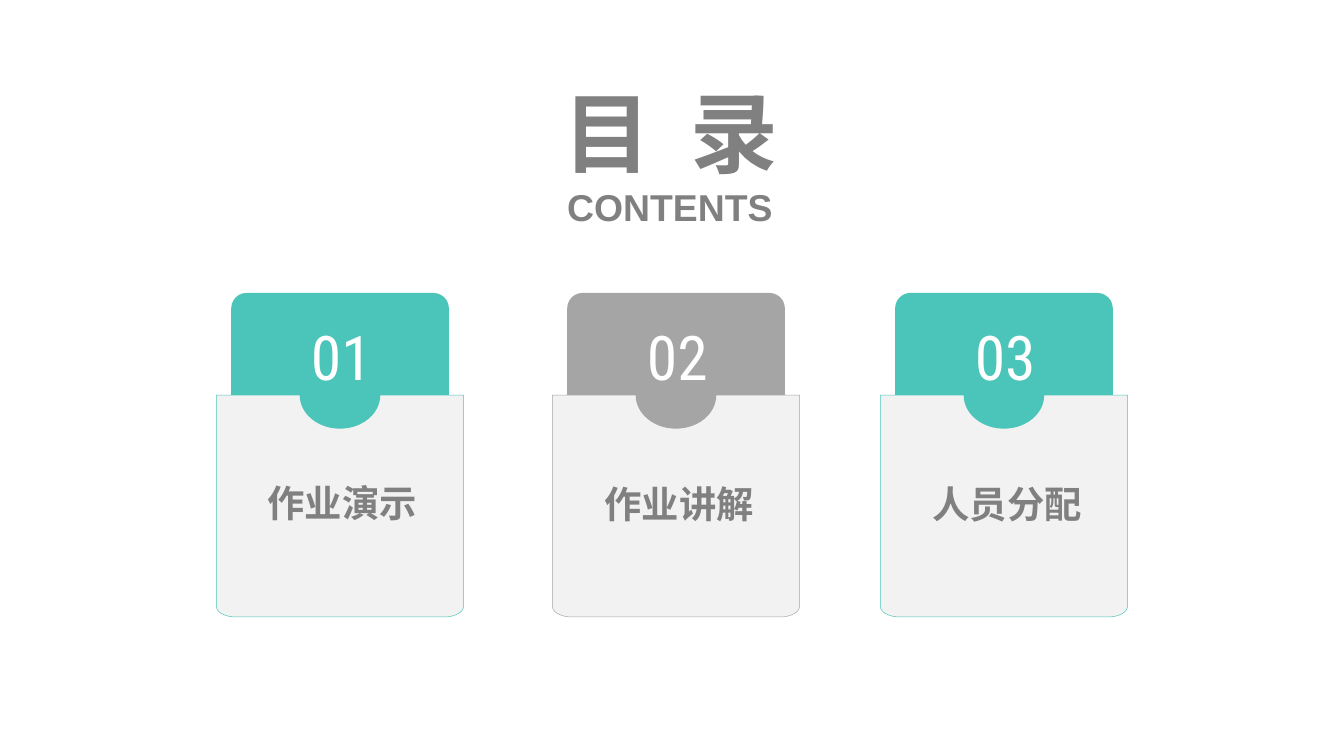
from math import cos, pi, sin

from pptx import Presentation
from pptx.dml.color import RGBColor
from pptx.enum.shapes import MSO_SHAPE as Preset
from pptx.enum.text import MSO_ANCHOR as Anchor, MSO_AUTO_SIZE as AutoSize, PP_ALIGN as Align
from pptx.oxml.ns import qn
from pptx.util import Inches, Pt

TEAL = RGBColor(0x4B, 0xC5, 0xB9)
SILVER = RGBColor(0xA5, 0xA5, 0xA5)
PANEL = RGBColor(0xF2, 0xF2, 0xF2)
GRAY = RGBColor(0x80, 0x80, 0x80)
WHITE = RGBColor(0xFF, 0xFF, 0xFF)
CJK_FONT = "Noto Sans CJK SC"

HEADING = {"name": "Arial", "size": Pt(47), "bold": True}
SUBHEADING = {"name": "Arial", "size": Pt(20), "bold": True}
NUMBER = {"name": "Roboto Condensed", "size": Pt(33), "bold": False}
LABEL = {"name": CJK_FONT, "size": Pt(20), "bold": True}

CARD_TOP = 2.18
POCKET_TOP, POCKET_WIDTH, POCKET_HEIGHT = 2.94, 1.84, 1.65
CORNER_X, CORNER_Y = 0.14, 0.08
CARDS = [
    (1.61, TEAL, "01", "作业演示", 0.26, 3.53),
    (4.11, SILVER, "02", "作业讲解", 0.27, 3.54),
    (6.55, TEAL, "03", "人员分配", 0.27, 3.54),
]


def place(shape, left, top, width, height):
    box = {"left": left, "top": top, "width": width, "height": height}
    for side, length in box.items():
        setattr(shape, side, Inches(length))


def write(shape, pieces, style, color, margins, anchor=Anchor.TOP):
    frame = shape.text_frame
    layout = {
        "margin_left": Inches(margins[0]), "margin_right": Inches(margins[0]),
        "margin_top": Inches(margins[1]), "margin_bottom": Inches(margins[1]),
        "word_wrap": True, "auto_size": AutoSize.SHAPE_TO_FIT_TEXT,
        "vertical_anchor": anchor,
    }
    for key, value in layout.items():
        setattr(frame, key, value)
    paragraph = frame.paragraphs[0]
    paragraph.alignment = Align.CENTER
    paragraph.space_before = Pt(0)
    for text, tracking in pieces:
        run = paragraph.add_run()
        run.text = text
        for key, value in style.items():
            setattr(run.font, key, value)
        run.font.color.rgb = color
        properties = run.font._element
        east_asian = properties.makeelement(qn("a:ea"), {"typeface": CJK_FONT})
        properties.find(qn("a:latin")).addnext(east_asian)
        if tracking:
            properties.set("spc", str(tracking))


def add_text(shapes, box, text, style, color):
    caption = shapes.add_textbox(*map(Inches, box))
    write(caption, [(text, 0)], style, color, (0.07, 0.04))


def paint(shape, fill, outline=None):
    shape.shadow.inherit = False
    shape.fill.solid()
    shape.fill.fore_color.rgb = fill
    if outline is None:
        shape.line.fill.background()
    else:
        shape.line.color.rgb = outline
        shape.line.width = Pt(0.25)


def add_preset(shapes, preset, box, color):
    shape = shapes.add_shape(preset, *map(Inches, box))
    paint(shape, color)
    return shape


def add_pocket(shapes, left, outline):
    right, bottom = left + POCKET_WIDTH, POCKET_TOP + POCKET_HEIGHT
    angles = [step * pi / 16 for step in range(9)]
    right_corner = [(right - CORNER_X * (1 - cos(a)), bottom - CORNER_Y * (1 - sin(a)))
                    for a in angles]
    left_corner = [(left + right - x, y) for x, y in reversed(right_corner)]
    points = [(Inches(x), Inches(y))
              for x, y in [(right, POCKET_TOP)] + right_corner + left_corner]
    builder = shapes.build_freeform(Inches(left), Inches(POCKET_TOP))
    builder.add_line_segments(points, close=True)
    paint(builder.convert_to_shape(), PANEL, outline)


def add_card(slide, left, color, number, label, label_offset, label_top):
    shapes = slide.shapes.add_group_shape().shapes
    insert = add_preset(shapes, Preset.ROUNDED_RECTANGLE, (left + 0.11, CARD_TOP, 1.62, 1.24), color)
    insert.adjustments[0] = 0.093
    add_pocket(shapes, left, color)
    add_preset(shapes, Preset.OVAL, (left + 0.62, 2.69, 0.6, 0.5), color)
    add_text(shapes, (left + 0.48, 2.33, 0.9, 0.53), number, NUMBER, WHITE)
    add_text(shapes, (left + label_offset, label_top, 1.35, 0.41), label, LABEL, GRAY)


def add_headings(slide):
    title, subtitle = slide.shapes.title, slide.placeholders[1]
    place(title, 3.87, 0.58, 2.24, 0.79)
    write(title, [("目 ", 520), ("录", 0)], HEADING, GRAY, (0, 0), Anchor.MIDDLE)
    place(subtitle, 3.88, 1.37, 2.21, 0.34)
    write(subtitle, [("CONTENTS", 0)], SUBHEADING, GRAY, (0, 0))


def main():
    deck = Presentation()
    deck.slide_width = Inches(10)
    deck.slide_height = deck.slide_width * 9 // 16
    slide = deck.slides.add_slide(deck.slide_layouts[0])
    add_headings(slide)
    for card in CARDS:
        add_card(slide, *card)
    deck.save("out.pptx")


if __name__ == "__main__":
    main()
